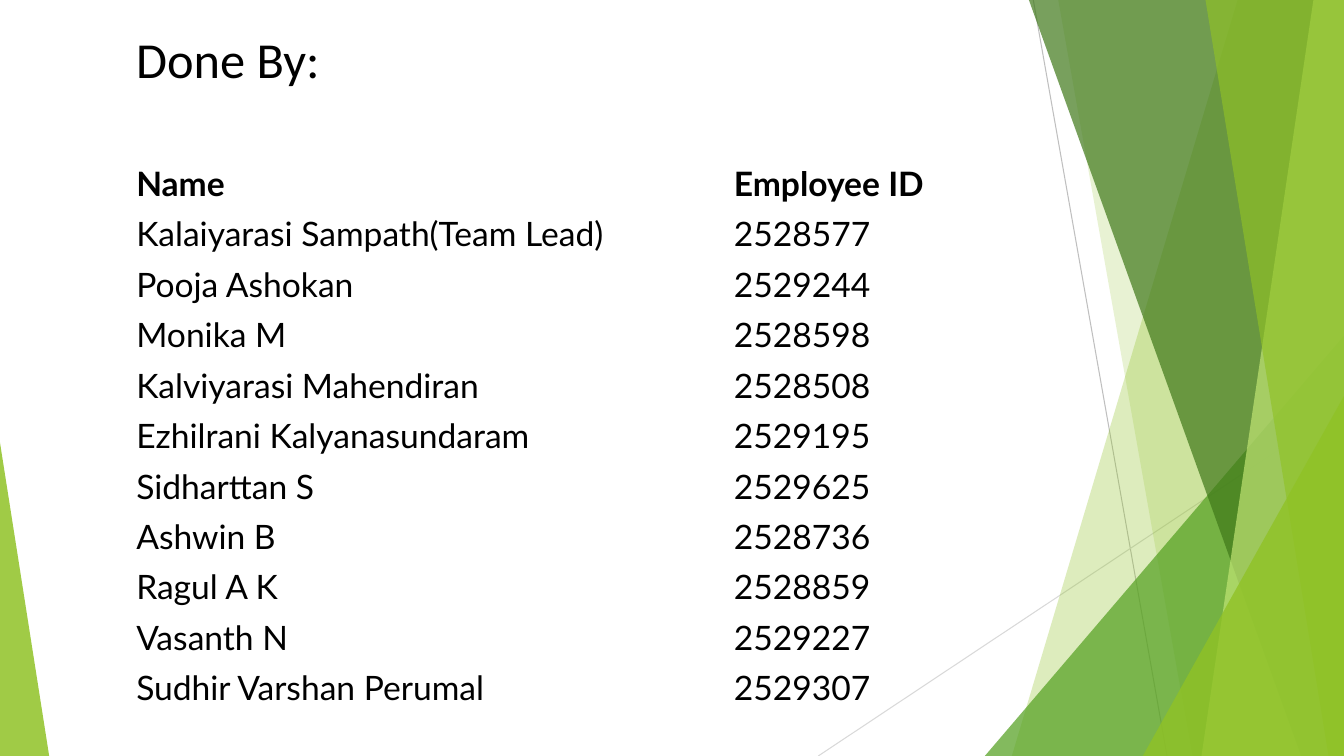
from lxml import etree
from pptx import Presentation
from pptx.dml.color import RGBColor
from pptx.enum.shapes import MSO_CONNECTOR, MSO_SHAPE
from pptx.enum.text import MSO_ANCHOR
from pptx.oxml.ns import qn
from pptx.util import Cm, Pt

STRAIGHT = MSO_CONNECTOR.STRAIGHT
TRIANGLE = MSO_SHAPE.ISOSCELES_TRIANGLE
TOP = MSO_ANCHOR.TOP

SLIDE_W, SLIDE_H = 33.87, 19.05
NO_GRID_STYLE = "{2D5ABB26-0587-4C30-8999-92F81FD0307C}"
COLORS = {
    "text": "000000",
    "lime": "90C226",
    "green": "54A021",
    "forest": "3F7819",
    "pale": "C0E474",
    "line": "BFBFBF",
    "faint": "D9D9D9",
}
TEAM = [
    ("Name", "Employee ID"),
    ("Kalaiyarasi Sampath(Team Lead)", "2528577"),
    ("Pooja Ashokan", "2529244"),
    ("Monika M", "2528598"),
    ("Kalviyarasi Mahendiran", "2528508"),
    ("Ezhilrani Kalyanasundaram", "2529195"),
    ("Sidharttan S", "2529625"),
    ("Ashwin B", "2528736"),
    ("Ragul A K", "2528859"),
    ("Vasanth N", "2529227"),
    ("Sudhir Varshan Perumal", "2529307"),
]


def rgb(name):
    return RGBColor.from_string(COLORS[name])


def write(tf, text, font, size, color="text", bold=False):
    r = tf.paragraphs[0].add_run()
    r.text = text
    r.font.name = font
    r.font.size = Pt(size)
    r.font.bold = bold
    r.font.color.rgb = rgb(color)


def paint(sp, color, opacity):
    sp.shadow.inherit = False
    sp.fill.solid()
    sp.fill.fore_color.rgb = rgb(color)
    sp.line.fill.background()
    clr = sp._element.spPr.find(qn("a:solidFill"))[0]
    etree.SubElement(clr, qn("a:alpha")).set("val", str(opacity * 1000))


def add_line(s, x1, y1, x2, y2, color):
    line = s.shapes.add_connector(STRAIGHT, Cm(x1), Cm(y1), Cm(x2), Cm(y2))
    line.line.color.rgb = rgb(color)
    line.line.width = Pt(0.75)
    etree.SubElement(line._element.spPr, qn("a:effectLst"))


def add_triangle(s, left, top, width, height, apex, color, opacity):
    sp = s.shapes.add_shape(TRIANGLE, Cm(left), Cm(top), Cm(width), Cm(height))
    sp.adjustments[0] = apex
    paint(sp, color, opacity)


def add_band(s, x_top, x_bottom, right, top, bottom, color, opacity):
    corners = [(x_top, top), (right, top), (right, bottom), (x_bottom, bottom)]
    points = [(Cm(x), Cm(y)) for x, y in corners]
    fb = s.shapes.build_freeform(*points[0])
    fb.add_line_segments(points[1:], close=True)
    paint(fb.convert_to_shape(), color, opacity)


def add_facets(s, left, top, width, height):
    right, bottom = left + width, top + height

    def band(x_top, x_bottom, color, opacity):
        add_band(s, left + x_top, left + x_bottom, right, top, bottom, color, opacity)

    def corner(x, y, color, opacity):
        add_triangle(s, left + x, top + y, width - x, height - y, 1, color, opacity)

    add_line(s, left + 5.42, top, left + 8.79, bottom, "line")
    add_line(s, right, top + 10.24, left, bottom, "faint")
    band(10.57, 4.88, "lime", 30)
    band(6.05, 9.43, "lime", 20)
    corner(4.2, 8.46, "green", 72)
    band(5.31, 12.17, "forest", 70)
    band(12.48, 9.66, "pale", 70)
    band(9.76, 12.86, "lime", 65)
    corner(8.18, 9.98, "lime", 80)


def add_title(s, left, top, width, height):
    tf = s.shapes.add_textbox(Cm(left), Cm(top), Cm(width), Cm(height)).text_frame
    tf.word_wrap = True
    tf.vertical_anchor = TOP
    write(tf, "Done By:", "Calibri", 36)


def add_team_table(s, left, top, width, height):
    table = s.shapes.add_table(
        len(TEAM), 2, Cm(left), Cm(top), Cm(width), Cm(height)
    ).table
    table._tbl.tblPr.find(qn("a:tableStyleId")).text = NO_GRID_STYLE
    table.horz_banding = False
    name_width = 15.06
    table.columns[0].width = Cm(name_width)
    table.columns[1].width = Cm(width - name_width)
    for i, member in enumerate(TEAM):
        for j, text in enumerate(member):
            cell = table.cell(i, j)
            cell.fill.background()
            write(cell.text_frame, text, "Lato", 24, bold=i == 0)


def main():
    prs = Presentation()
    prs.slide_width, prs.slide_height = Cm(SLIDE_W), Cm(SLIDE_H)
    s = prs.slides.add_slide(prs.slide_layouts[6])
    add_facets(s, 20.62, 0, 13.25, SLIDE_H)
    add_triangle(s, 0, 11.15, 1.24, 7.9, 0, "lime", 85)
    add_title(s, 3.18, 0.58, 27.5, 4.11)
    add_team_table(s, 3.18, 3.99, 27.5, 13.97)
    prs.save("out.pptx")


if __name__ == "__main__":
    main()
